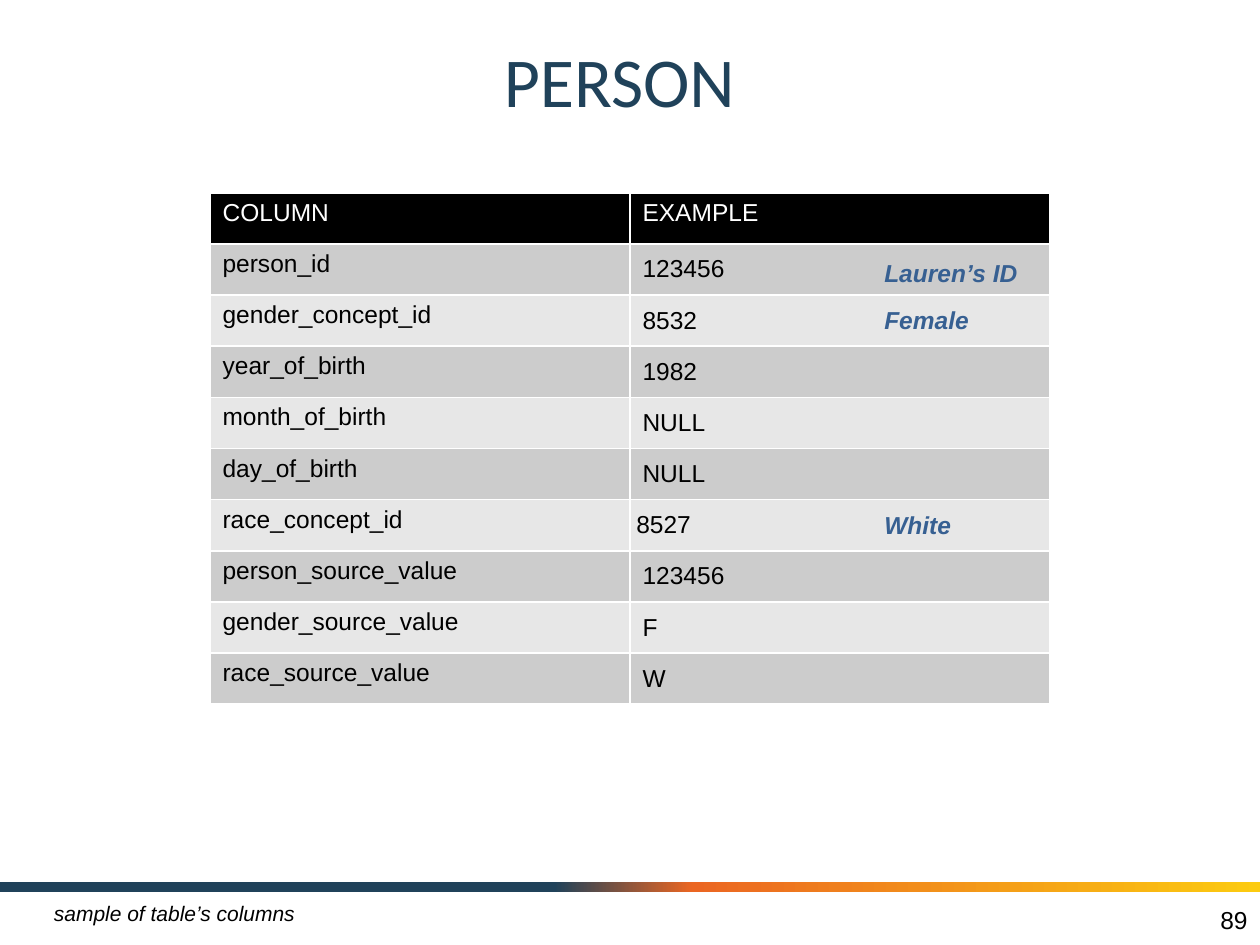
from copy import deepcopy
from lxml import etree
from pptx import Presentation, util as u
from pptx.dml.color import RGBColor
from pptx.enum import shapes, text
from pptx.oxml.ns import qn

C = {"navy": "20425A", "orange": "EB6622", "yellow": "FCCB10", "blue": "376092",
     "black": "000000", "white": "FFFFFF", "dark": "CCCCCC", "light": "E7E7E7"}
ROWS = [("COLUMN", "EXAMPLE", ""),
        ("person_id", "123456", "Lauren’s ID"),
        ("gender_concept_id", "8532", "Female"),
        ("year_of_birth", "1982", ""),
        ("month_of_birth", "NULL", ""),
        ("day_of_birth", "NULL", ""),
        ("race_concept_id", "8527", "White"),
        ("person_source_value", "123456", ""),
        ("gender_source_value", "F", ""),
        ("race_source_value", "W", "")]
NOTE_TOP = {1: 2, 2: 2.37, 6: 4}

prs = Presentation()
prs.slide_width, prs.slide_height = u.Inches(10), u.Inches(7.5)
W, H = prs.slide_width, prs.slide_height
s = prs.slides.add_slide(prs.slide_layouts[6])
LEFT, MIDDLE, RIGHT = text.PP_ALIGN.LEFT, text.MSO_ANCHOR.MIDDLE, text.PP_ALIGN.RIGHT


def style(p, size, color, name="Arial", bold=False, italic=False):
    f = p.font
    f.size, f.name, f.bold, f.italic = u.Pt(size), name, bold, italic
    f.color.rgb = RGBColor.from_string(C[color])


def label(words, box, size, color, align=LEFT, anchor=text.MSO_ANCHOR.TOP, **font):
    tf = s.shapes.add_textbox(*[u.Inches(v) for v in box]).text_frame
    tf.word_wrap, tf.vertical_anchor = True, anchor
    p = tf.paragraphs[0]
    p.text, p.alignment = words, align
    style(p, size, color, **font)


bar = s.shapes.add_shape(shapes.MSO_SHAPE.RECTANGLE, 0, int(H * 14 / 15), W, u.Inches(0.08))
bar.shadow.inherit = False
bar.line.fill.background()
bar.fill.gradient()
bar.fill.gradient_angle = 0
stops = bar._element.spPr.find(".//" + qn("a:gsLst"))
for _ in range(2):
    stops.append(deepcopy(stops[0]))
for stop, (pos, color) in zip(bar.fill.gradient_stops,
                              [(0, "navy"), (0.44, "navy"), (0.55, "orange"), (1, "yellow")]):
    stop.position = pos
    stop.color.rgb = RGBColor.from_string(C[color])

label("PERSON", (0.33, 0.17, 9.17, 0.92), 40, "navy", text.PP_ALIGN.CENTER, MIDDLE, name="Calibri")
label("89", (7.67, 7.1, 2.33, 0.4), 14, "black", RIGHT, MIDDLE)

table = s.shapes.add_table(len(ROWS), 2, W // 6, u.Inches(1.53), W * 2 // 3, u.Inches(4.06)).table
for i, row in enumerate(ROWS):
    for j in range(2):
        cell = table.cell(i, j)
        p = cell.text_frame.paragraphs[0]
        p.text = row[j]
        style(p, 14, "black" if i else "white")
        if i and j:
            cell.vertical_anchor = MIDDLE
        tcPr = cell._tc.get_or_add_tcPr()
        for side in "LRTB":
            ln = etree.SubElement(tcPr, qn("a:ln" + side), w=str(u.Pt(1)))
            fill = etree.SubElement(ln, qn("a:solidFill"))
            etree.SubElement(fill, qn("a:srgbClr"), val=C["white"])
        cell.fill.solid()
        shade = ("light", "dark")[i % 2] if i else "black"
        cell.fill.fore_color.rgb = RGBColor.from_string(C[shade])

race = table.cell(6, 1)
race.margin_left = race.margin_right = u.Inches(0.05)
race.margin_top = race.margin_bottom = u.Inches(0.04)

label("sample of table’s columns", (0.33, 7.1, 4.42, 0.3), 12, "black", italic=True)
for i, top in NOTE_TOP.items():
    label(ROWS[i][2], (6.92, top, 3.17, 0.34), 14, "blue", bold=True, italic=True)

prs.save("out.pptx")
